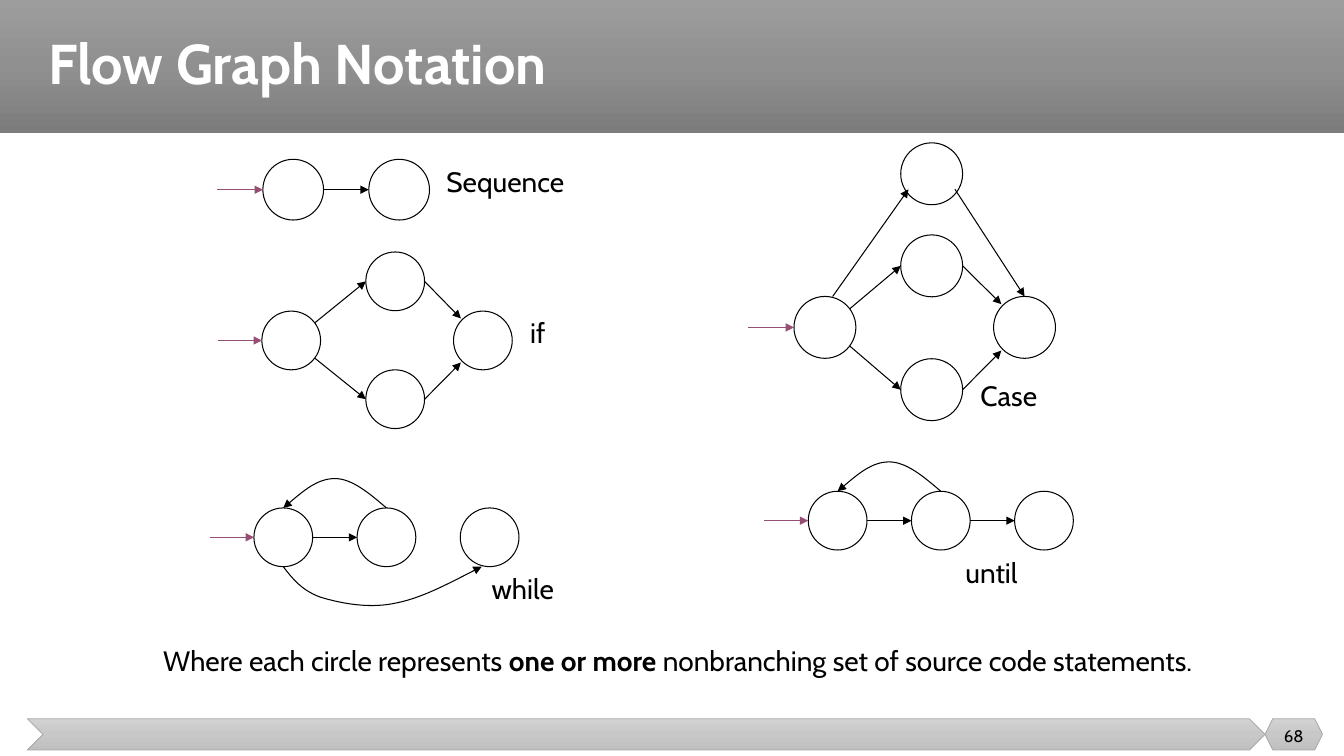
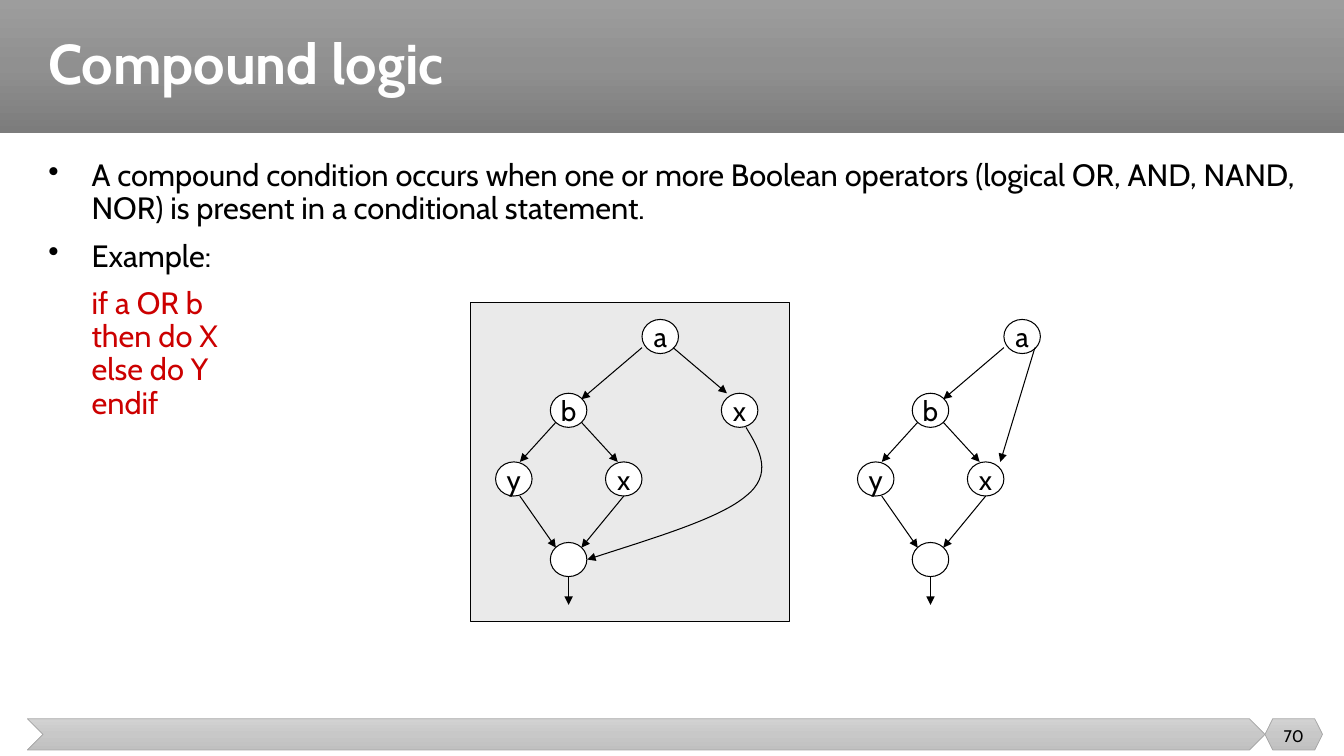
from copy import deepcopy
from dataclasses import dataclass

from lxml import etree
from pptx import Presentation
from pptx import util as u
from pptx.dml import color
from pptx.enum import shapes, text
from pptx.oxml import ns


@dataclass(frozen=True)
class Theme:
    font: str = "Cabin"
    title_size: int = 40
    body_size: int = 22
    label_size: int = 20
    number_size: int = 12
    spacing: float = 0.9
    line_width: float = 0.75
    black: str = "000000"
    white: str = "FFFFFF"
    entry: str = "954F72"
    code: str = "CC0000"
    panel: str = "EAEAEA"
    footer_line: str = "A5A5A5"
    header_gradient: tuple = ("9D9D9D", "909090", "7C7C7C")
    footer_gradient: tuple = ("D2D2D2", "C8C8C8", "C0C0C0")


THEME = Theme()
LEFT, RIGHT, TOP, BOTTOM = (-1, 0), (1, 0), (0, -1), (0, 1)


def rgb(value):
    return color.RGBColor.from_string(value)


def set_line(shape, value=THEME.black, width=THEME.line_width):
    shape.line.color.rgb = rgb(value)
    shape.line.width = u.Pt(width)


def add_preset(slide, kind, left, top, width, height, fill=None):
    shape = slide.shapes.add_shape(
        kind, u.Cm(left), u.Cm(top), u.Cm(width), u.Cm(height))
    shape.shadow.inherit = False
    if fill:
        shape.fill.solid()
        shape.fill.fore_color.rgb = rgb(fill)
    set_line(shape)
    return shape


def fill_gradient(shape, colors):
    shape.fill.gradient()
    shape.fill.gradient_angle = 270
    stops = shape._element.spPr.find(".//" + ns.qn("a:gsLst"))
    stops.append(deepcopy(stops[0]))
    for index, (stop, value) in enumerate(zip(shape.fill.gradient_stops, colors)):
        stop.color.rgb = rgb(value)
        stop.position = index / 2


def add_run(paragraph, content, size, value=THEME.black, bold=False):
    run = paragraph.add_run()
    run.text = content
    run.font.name = THEME.font
    run.font.size = u.Pt(size)
    run.font.bold = bold
    run.font.color.rgb = rgb(value)


def add_text_box(slide, left, top, width, height, anchor=text.MSO_ANCHOR.TOP):
    box = slide.shapes.add_textbox(u.Cm(left), u.Cm(top), u.Cm(width), u.Cm(height))
    frame = box.text_frame
    frame.word_wrap = True
    frame.vertical_anchor = anchor
    return frame


def add_label(slide, content, left, top, width=3.7):
    frame = add_text_box(slide, left, top, width, 1.12)
    add_run(frame.paragraphs[0], content, THEME.label_size)


def add_node(slide, x, y, width, height=None, label=""):
    height = height or width
    node = add_preset(slide, shapes.MSO_SHAPE.OVAL, x - width / 2, y - height / 2,
                      width, height, THEME.white)
    if label:
        frame = node.text_frame
        frame.word_wrap = False
        frame.vertical_anchor = text.MSO_ANCHOR.MIDDLE
        paragraph = frame.paragraphs[0]
        paragraph.alignment = text.PP_ALIGN.CENTER
        add_run(paragraph, label, THEME.label_size)
    return node


def point_on(node, side):
    return (node.left + round(node.width * (1 + side[0]) / 2),
            node.top + round(node.height * (1 + side[1]) / 2))


def add_arrowhead(shape):
    line = shape._element.spPr.find(ns.qn("a:ln"))
    etree.SubElement(line, ns.qn("a:tailEnd"), type="triangle")


def add_arrow(slide, start, end, value=THEME.black):
    arrow = slide.shapes.add_connector(shapes.MSO_CONNECTOR.STRAIGHT, *start, *end)
    set_line(arrow, value)
    add_arrowhead(arrow)
    etree.SubElement(arrow._element.spPr, ns.qn("a:effectLst"))


def add_edge(slide, source, source_side, target, target_side):
    add_arrow(slide, point_on(source, source_side), point_on(target, target_side))


def add_entry(slide, node):
    x, y = point_on(node, LEFT)
    add_arrow(slide, (x - round(node.width * 0.75), y), (x, y), THEME.entry)


def add_curve(slide, points):
    builder = slide.shapes.build_freeform(*points[0], scale=1.0)
    builder.add_line_segments(points[1:], close=False)
    curve = builder.convert_to_shape()
    segments = list(curve._element.iter(ns.qn("a:lnTo")))
    for first in range(0, len(segments), 3):
        bezier = etree.Element(ns.qn("a:cubicBezTo"))
        segments[first].addprevious(bezier)
        for segment in segments[first:first + 3]:
            bezier.append(segment[0])
            segment.getparent().remove(segment)
    curve.shadow.inherit = False
    curve.fill.background()
    set_line(curve)
    add_arrowhead(curve)


def add_curve_cm(slide, points):
    add_curve(slide, [(u.Cm(x), u.Cm(y)) for x, y in points])


def add_loop_back(slide, source, target):
    start_x, y = point_on(source, TOP)
    span = point_on(target, TOP)[0] - start_x
    rise = source.height / 2
    profile = (0, 0.5, 1, 1, 1, 0.5, 0)
    add_curve(slide, [(round(start_x + span * step / 6), round(y - rise * level))
                      for step, level in enumerate(profile)])


def add_row(slide, x, y, count, pitch, diameter):
    nodes = [add_node(slide, x + index * pitch, y, diameter) for index in range(count)]
    add_entry(slide, nodes[0])
    add_edge(slide, nodes[0], RIGHT, nodes[1], LEFT)
    return nodes


def add_diamond(slide, start_x, middle_x, end_x, y, upper_y, lower_y, diameter):
    start = add_node(slide, start_x, y, diameter)
    end = add_node(slide, end_x, y, diameter)
    add_entry(slide, start)
    for branch_y, sign in ((upper_y, -1), (lower_y, 1)):
        branch = add_node(slide, middle_x, branch_y, diameter)
        add_edge(slide, start, (0.8, 0.6 * sign), branch, LEFT)
        add_edge(slide, branch, RIGHT, end, (-0.75, 0.75 * sign))
    return start, end


def add_or_graph(slide, offset):
    positions = {"a": (16.64, 8.48), "b": (14.33, 10.34), "y": (12.95, 12.07),
                 "x": (15.72, 12.07), "": (14.33, 14.1)}
    nodes = {label: add_node(slide, x + offset, y, 0.92, 0.86, label)
             for label, (x, y) in positions.items()}
    for source, source_side, target, target_side in (
            ("a", (-1, 0.65), "b", (0.7, -0.65)),
            ("b", (-0.7, 0.7), "y", (0.33, -1)),
            ("b", (0.7, 0.7), "x", (-0.33, -1)),
            ("y", (0.33, 1), "", (-0.7, -0.7)),
            ("x", BOTTOM, "", (0.7, -0.7))):
        add_edge(slide, nodes[source], source_side, nodes[target], target_side)
    x, y = point_on(nodes[""], BOTTOM)
    add_arrow(slide, (x, y), (x, y + u.Cm(0.71)))
    return nodes


def add_frame(presentation, title, number):
    slide = presentation.slides.add_slide(presentation.slide_layouts[6])
    header = add_preset(slide, shapes.MSO_SHAPE.RECTANGLE, 0, 0, 33.87, 3.35)
    fill_gradient(header, THEME.header_gradient)
    header.line.fill.background()
    for kind, left, width in ((shapes.MSO_SHAPE.CHEVRON, 0.69, 31.19),
                              (shapes.MSO_SHAPE.HEXAGON, 31.88, 1.45)):
        band = add_preset(slide, kind, left, 18.11, width, 0.79)
        fill_gradient(band, THEME.footer_gradient)
        set_line(band, THEME.footer_line, 0.5)
    middle = text.MSO_ANCHOR.MIDDLE
    paragraph = add_text_box(slide, 0.97, 0, 32.36, 3.35, middle).paragraphs[0]
    paragraph.line_spacing = THEME.spacing
    add_run(paragraph, title, THEME.title_size, THEME.white, True)
    paragraph = add_text_box(slide, 31.88, 18.03, 1.45, 1.02, middle).paragraphs[0]
    paragraph.alignment = text.PP_ALIGN.CENTER
    add_run(paragraph, number, THEME.number_size)
    return slide


def add_body(slide, items):
    frame = add_text_box(slide, 0.97, 3.91, 32.36, 13.18)
    for index, (lines, bulleted, value) in enumerate(items):
        paragraph = frame.add_paragraph() if index else frame.paragraphs[0]
        properties = paragraph._p.get_or_add_pPr()
        indent = u.Cm(1.09)
        properties.set("marL", str(indent))
        properties.set("indent", str(-indent if bulleted else 0))
        if bulleted:
            etree.SubElement(properties, ns.qn("a:buChar"), char="•")
        paragraph.line_spacing = THEME.spacing
        if index:
            paragraph.space_before = u.Pt(10)
        for line_index, line in enumerate(lines):
            if line_index:
                paragraph.add_line_break()
            add_run(paragraph, line, THEME.body_size, value)


def build_notation(presentation):
    slide = add_frame(presentation, "Flow Graph Notation", "68")
    add_row(slide, 7.39, 4.78, 2, 2.67, 1.53)
    add_label(slide, "Sequence", 11, 4.01, 3.96)

    add_diamond(slide, 7.34, 9.96, 12.17, 8.58, 7.09, 10.06, 1.48)
    add_label(slide, "if", 13.11, 7.82)

    start, end = add_diamond(slide, 20.79, 23.48, 25.82, 8.25, 6.7, 9.82, 1.56)
    top = add_node(slide, 23.48, 4.38, 1.56)
    add_edge(slide, start, (0.25, -1), top, (-0.75, 0.5))
    add_edge(slide, top, (0.75, 0.5), end, TOP)
    add_label(slide, "Case", 24.46, 9.42, 2.51)

    first, second, _ = add_row(slide, 7.14, 13.54, 3, 2.6, 1.48)
    add_loop_back(slide, second, first)
    add_curve_cm(slide, [
        (7.14, 14.28), (7.37, 14.58), (7.59, 14.86), (8.05, 15.04), (8.53, 15.19),
        (9.25, 15.34), (9.91, 15.21), (10.59, 15.09), (11.35, 14.68), (12.14, 14.28)])
    add_label(slide, "while", 12.14, 14.27)

    first, second, third = add_row(slide, 21.11, 13.12, 3, 2.6, 1.48)
    add_edge(slide, second, RIGHT, third, LEFT)
    add_loop_back(slide, second, first)
    add_label(slide, "until", 24.08, 13.87)

    paragraph = add_text_box(slide, 3.86, 16.08, 26.82, 1.12).paragraphs[0]
    for content, bold in (("Where each circle represents ", False),
                          ("one or more ", True),
                          ("nonbranching set of source code statements.", False)):
        add_run(paragraph, content, THEME.label_size, bold=bold)


def build_compound(presentation):
    slide = add_frame(presentation, "Compound logic", "70")
    add_preset(slide, shapes.MSO_SHAPE.RECTANGLE, 11.86, 7.62, 8.05, 8.05, THEME.panel)
    add_body(slide, [
        (["A compound condition occurs when one or more Boolean operators "
          "(logical OR, AND, NAND, NOR) is present in a conditional statement."],
         True, THEME.black),
        (["Example:"], True, THEME.black),
        (["if a OR b", "then do X", "else do Y", "endif"], False, THEME.code)])

    expanded = add_or_graph(slide, 0)
    extra = add_node(slide, 18.64, 10.34, 0.92, 0.86, "x")
    add_edge(slide, expanded["a"], (0.7, 0.65), extra, (-0.7, -1))
    add_curve_cm(slide, [
        (18.8, 10.77), (19.16, 11.35), (19.48, 11.96), (18.8, 12.5),
        (18.14, 13.06), (16.46, 13.56), (14.8, 14.1)])

    merged = add_or_graph(slide, 9.12)
    add_edge(slide, merged["a"], (0.7, 0.65), merged["x"], (0.8, -1))


def main():
    presentation = Presentation()
    presentation.slide_width = u.Cm(33.87)
    presentation.slide_height = u.Cm(19.05)
    build_notation(presentation)
    build_compound(presentation)
    presentation.save("out.pptx")


if __name__ == "__main__":
    main()
